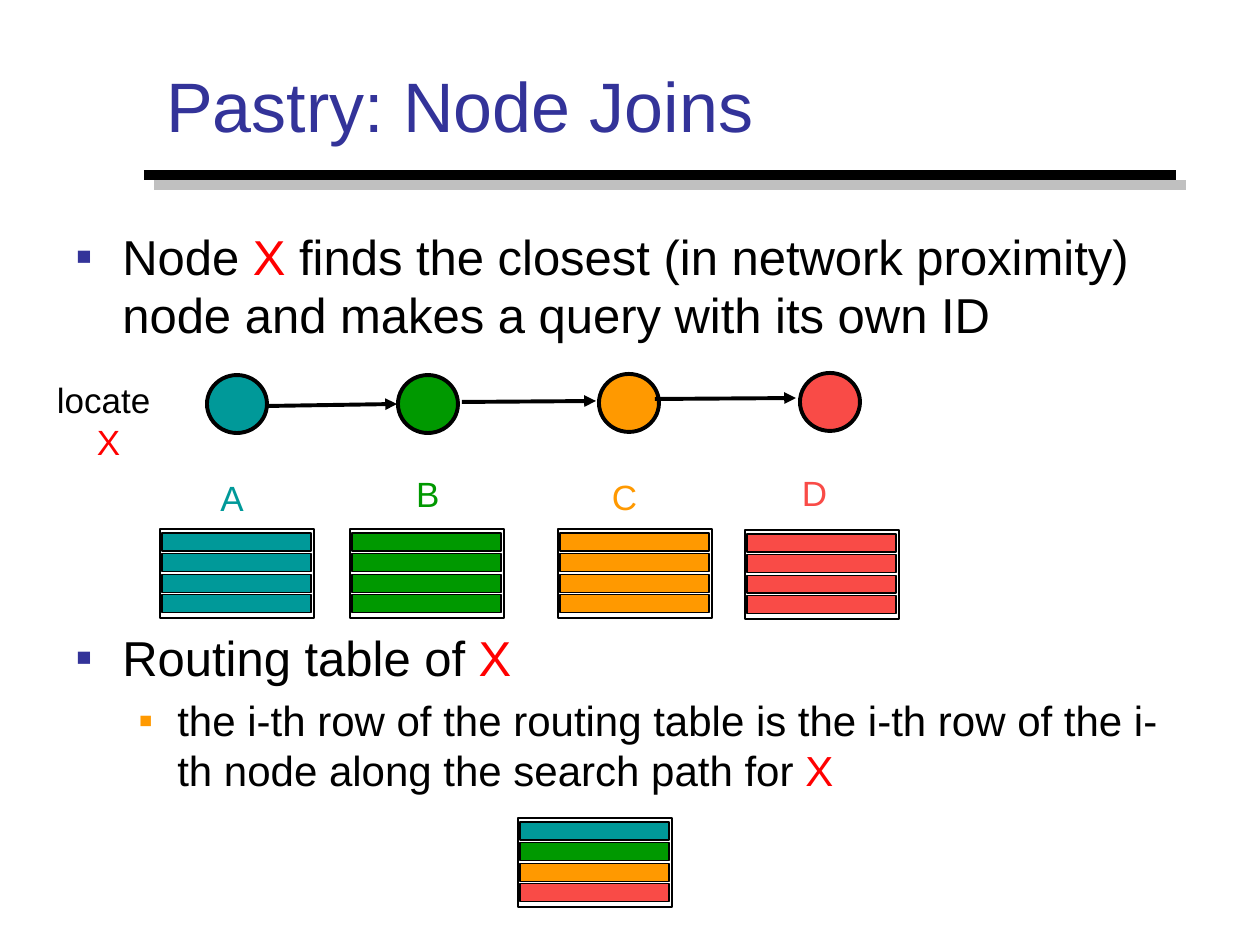
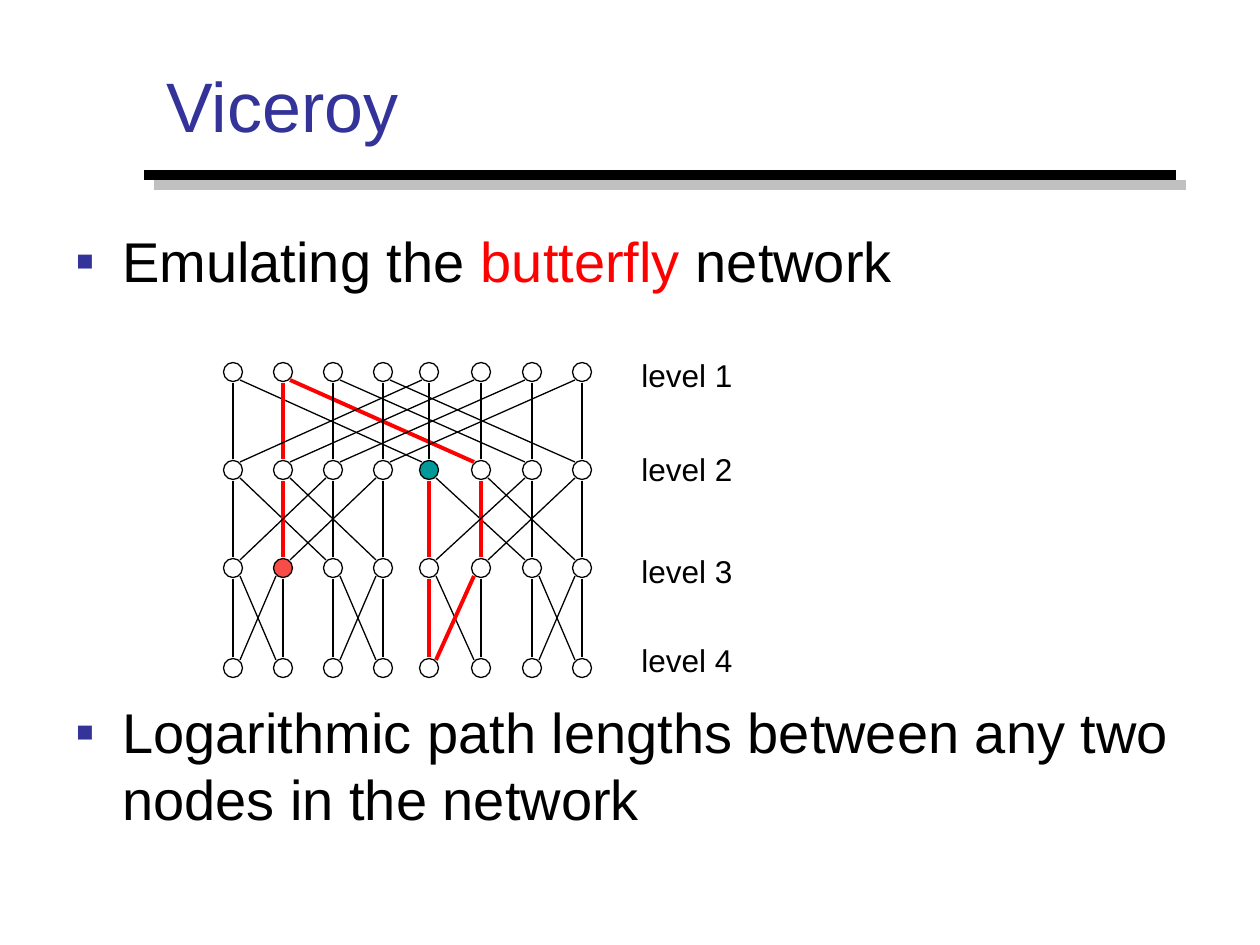
import pptx
import pptx.util
import pptx.dml.color
import pptx.enum.shapes
import pptx.enum.text
import pptx.oxml.ns
from lxml import etree


class Theme:
    font = "Arial"
    ink, title, red, shade = "000000", "333399", "FF0000", "C0C0C0"
    teal, green, gold, coral = "009999", "009900", "FF9900", "F94B47"
    big, label, level = 40, 20, 18
    thin, bold, rule = 0.75, 2.25, 6


WIDE, HIGH = 1260, 945
TITLE_BOX = (154, 45, 1062, 120)
RULES = [(Theme.shade, 154, 1186, 185), (Theme.ink, 144, 1176, 175)]
BODY_X, BODY_W = 63, 1134
BULLETS = [(47, 47, Theme.title), (102, 39, Theme.gold)]

JOIN = {
    "title": "Pastry: Node Joins",
    "body": [
        (220, 125, [(0, 28, "Node *X* finds the closest (in network proximity) "
                            "node and makes a query with its own ID")]),
        (621, 185, [(0, 28, "Routing table of *X*"),
                    (1, 24, "the i-th row of the routing table is the i-th row of the "
                            "i-th node along the search path for *X*")]),
    ],
}
LOCATE = ((23, 372, 171, 97), ["locate ", "*X*"])
NODES = [
    ("A", Theme.teal, (207, 375), (145, 470, 174), (160, 529)),
    ("B", Theme.green, (398, 375), (341, 466, 174), (350, 529)),
    ("C", Theme.gold, (599, 374), (552, 469, 145), (558, 529)),
    ("D", Theme.coral, (800, 373), (737, 465, 155), (745, 530)),
]
NODE_W, NODE_H, LABEL_H = 60, 58, 54
ARROWS = [(267, 406, 397, 404), (462, 402, 596, 401), (655, 399, 796, 398)]
RESULT = (518, 818)
FRAME_W, FRAME_H = 154, 89
ROW_W, ROW_H, ROW_STEP = 149, 18, 20.6

ROY = {
    "title": "Viceroy",
    "body": [
        (220, 80, [(0, 32, "Emulating the *butterfly* network")]),
        (691, 150, [(0, 32, "Logarithmic path lengths between any two nodes in the network")]),
    ],
}
COLS = [233, 283, 333, 383, 429, 481, 532, 582]
ROWS = [372, 470, 568, 668]
DOT = 19
SPANS = [4, 2, 1]
FILLED = {(1, 4): Theme.teal, (2, 1): Theme.coral}
PATHS = {(0, 1, 1), (0, 1, 5), (1, 1, 1), (1, 4, 4), (1, 5, 5), (2, 4, 4), (2, 5, 4)}
LEVELS = [("level 1", 350), ("level 2", 444), ("level 3", 546), ("level 4", 635)]
LEVEL_X, LEVEL_W, LEVEL_H = 629, 116, 50

SHAPE = pptx.enum.shapes.MSO_SHAPE
ALIGN = pptx.enum.text.PP_ALIGN
qn = pptx.oxml.ns.qn


def px(size):
    return pptx.util.Emu(round(size * 914400 / 126))


def rgb(code):
    return pptx.dml.color.RGBColor.from_string(code)


def add_line(slide, ends, color=Theme.ink, width=Theme.thin, arrow=False):
    kind = pptx.enum.shapes.MSO_CONNECTOR.STRAIGHT
    line = slide.shapes.add_connector(kind, *map(px, ends))
    line.line.color.rgb = rgb(color)
    line.line.width = pptx.util.Pt(width)
    if arrow:
        etree.SubElement(line.line._get_or_add_ln(), qn("a:tailEnd"), type="triangle")
    etree.SubElement(line._element.spPr, qn("a:effectLst"))


def add_form(slide, kind, box, fill=None, width=Theme.thin):
    form = slide.shapes.add_shape(kind, *map(px, box))
    form.shadow.inherit = False
    if fill:
        form.fill.solid()
        form.fill.fore_color.rgb = rgb(fill)
    else:
        form.fill.background()
    form.line.color.rgb = rgb(Theme.ink)
    form.line.width = pptx.util.Pt(width)


def add_box(slide, box, wrap=True):
    frame = slide.shapes.add_textbox(*map(px, box)).text_frame
    frame.word_wrap = wrap
    return frame


def write(para, text, size, color=Theme.ink, align=ALIGN.LEFT):
    para.alignment = align
    para.font.name = Theme.font
    para.font.size = pptx.util.Pt(size)
    para.font.color.rgb = rgb(color)
    for spot, part in enumerate(text.split("*")):
        if part:
            run = para.add_run()
            run.text = part
            if spot % 2:
                run.font.color.rgb = rgb(Theme.red)


def add_mark(para, depth):
    left, hang, color = BULLETS[depth]
    props = para._p.get_or_add_pPr()
    props.set("marL", str(px(left)))
    props.set("indent", str(px(-hang)))
    tint = etree.SubElement(props, qn("a:buClr"))
    etree.SubElement(tint, qn("a:srgbClr"), val=color)
    etree.SubElement(props, qn("a:buFont"), typeface=Theme.font)
    etree.SubElement(props, qn("a:buChar"), char="▪")


def lines_of(frame, count):
    return [frame.paragraphs[0]] + [frame.add_paragraph() for _ in range(count - 1)]


def add_slide(deck, page):
    slide = deck.slides.add_slide(deck.slide_layouts[6])
    for color, left, right, y in RULES:
        add_line(slide, (left, y, right, y), color, Theme.rule)
    frame = add_box(slide, TITLE_BOX)
    frame.vertical_anchor = pptx.enum.text.MSO_ANCHOR.MIDDLE
    write(frame.paragraphs[0], page["title"], Theme.big, Theme.title)
    for top, tall, items in page["body"]:
        frame = add_box(slide, (BODY_X, top, BODY_W, tall))
        paras = lines_of(frame, len(items))
        for spot, (para, (depth, size, text)) in enumerate(zip(paras, items)):
            add_mark(para, depth)
            if spot:
                para.space_before = pptx.util.Pt(size * 0.2)
            write(para, text, size)
    return slide


def add_stack(slide, corner, colors):
    x, y = corner
    add_form(slide, SHAPE.RECTANGLE, (x, y, FRAME_W, FRAME_H))
    for spot, color in enumerate(colors):
        row = (x + 2, y + 4 + spot * ROW_STEP, ROW_W, ROW_H)
        add_form(slide, SHAPE.RECTANGLE, row, color)


def draw_join(deck):
    slide = add_slide(deck, JOIN)
    box, words = LOCATE
    for para, text in zip(lines_of(add_box(slide, box), len(words)), words):
        write(para, text, Theme.label, align=ALIGN.CENTER)
    for name, color, spot, label, stack in NODES:
        add_form(slide, SHAPE.OVAL, (*spot, NODE_W, NODE_H), color, Theme.bold)
        frame = add_box(slide, (*label, LABEL_H))
        write(frame.paragraphs[0], name, Theme.label, color, ALIGN.CENTER)
        add_stack(slide, stack, [color] * len(NODES))
    for ends in ARROWS:
        add_line(slide, ends, width=Theme.bold, arrow=True)
    add_stack(slide, RESULT, [node[1] for node in NODES])


def draw_roy(deck):
    slide = add_slide(deck, ROY)
    for row, y in enumerate(ROWS):
        for col, x in enumerate(COLS):
            box = (x - DOT / 2, y - DOT / 2, DOT, DOT)
            add_form(slide, SHAPE.OVAL, box, FILLED.get((row, col)))
    for row, span in enumerate(SPANS):
        for col, x in enumerate(COLS):
            for goal in (col, col ^ span):
                side = (goal > col) - (goal < col)
                gap = 8 if side else 11
                ends = (x + 7 * side, ROWS[row] + gap,
                        COLS[goal] - 7 * side, ROWS[row + 1] - gap)
                if (row, col, goal) in PATHS:
                    add_line(slide, ends, Theme.red, Theme.bold)
                else:
                    add_line(slide, ends)
    for text, y in LEVELS:
        frame = add_box(slide, (LEVEL_X, y, LEVEL_W, LEVEL_H), wrap=False)
        write(frame.paragraphs[0], text, Theme.level)


def main():
    deck = pptx.Presentation()
    deck.slide_width, deck.slide_height = px(WIDE), px(HIGH)
    draw_join(deck)
    draw_roy(deck)
    deck.save("out.pptx")


if __name__ == "__main__":
    main()
